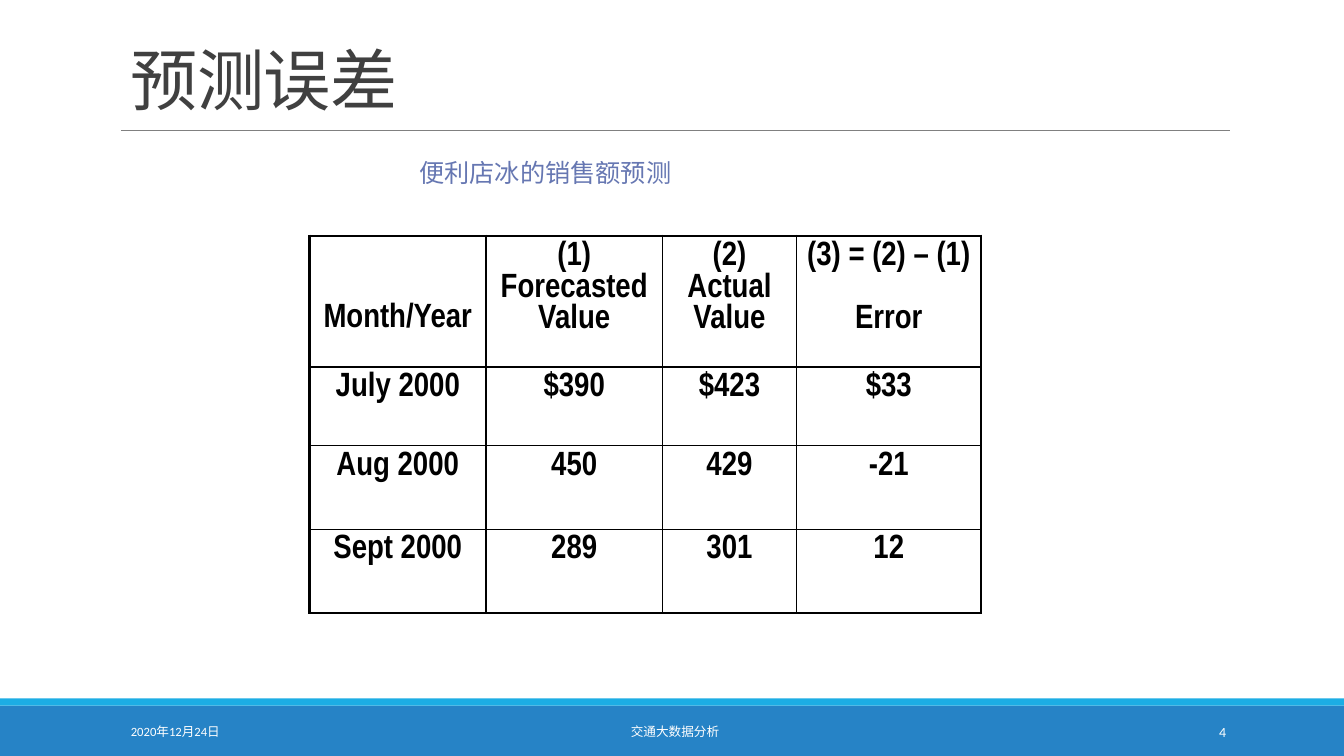
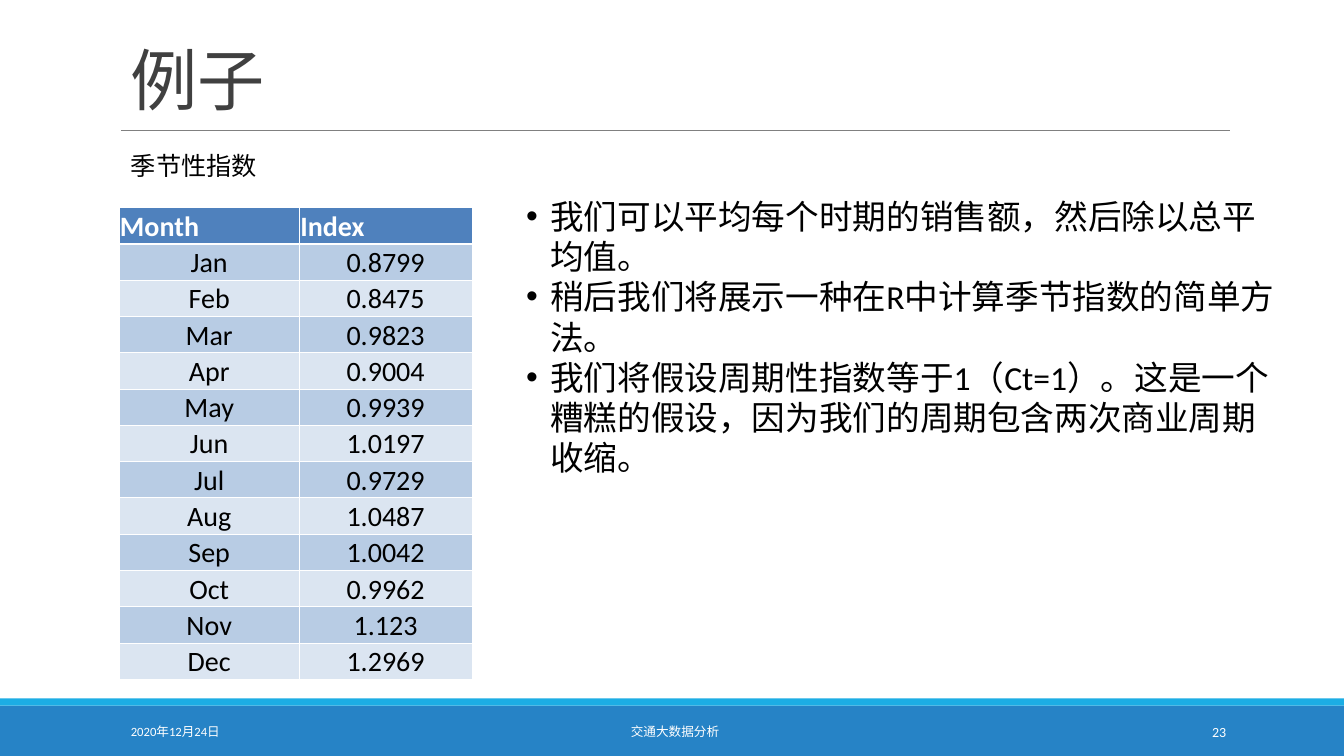
from lxml.etree import SubElement
from pptx import Presentation
from pptx.dml.color import RGBColor
from pptx.enum.shapes import MSO_CONNECTOR, MSO_SHAPE
from pptx.enum.text import MSO_ANCHOR, MSO_AUTO_SIZE, PP_ALIGN
from pptx.oxml.ns import qn
from pptx.util import Emu, Pt

PX = 9144
SLIDE_WIDTH, SLIDE_HEIGHT = 1333, 750
BODY_FONT, TABLE_FONT = "Calibri", "Arial Narrow"
WHITE, BLACK = "FFFFFF", "000000"
FOOTER_BLUE, STRIPE_BLUE = "2683C6", "1CADE4"
TITLE_GREY, RULE_GREY, CAPTION_BLUE = "404040", "808080", "6677B2"
HEADER_BLUE, BAND_FILLS = "4F81BD", ("B8CCE4", "DBE5F1")
DATE, COURSE = "2020年12月24日", "交通大数据分析"
BULLET_INDENT = 24

ERROR_ROWS = [
    ("Month/Year", "(1)\nForecasted Value", "(2)\nActual Value", "(3) = (2) – (1)\nError"),
    ("July 2000", "$390", "$423", "$33"),
    ("Aug 2000", "450", "429", "-21"),
    ("Sept 2000", "289", "301", "12"),
]
INDEX_ROWS = [
    ("Month", "Index"),
    ("Jan", "0.8799"), ("Feb", "0.8475"), ("Mar", "0.9823"), ("Apr", "0.9004"),
    ("May", "0.9939"), ("Jun", "1.0197"), ("Jul", "0.9729"), ("Aug", "1.0487"),
    ("Sep", "1.0042"), ("Oct", "0.9962"), ("Nov", "1.123"), ("Dec", "1.2969"),
]
INDEX_NOTES = [
    "我们可以平均每个时期的销售额，然后除以总平均值。",
    "稍后我们将展示一种在R中计算季节指数的简单方法。",
    "我们将假设周期性指数等于1（Ct=1）。这是一个糟糕的假设，因为我们的周期包含两次商业周期收缩。",
]


def px(length):
    """Turn px into EMU."""
    return Emu(length * PX)


def color(hex_code):
    """Turn a hex string into a colour."""
    return RGBColor.from_string(hex_code)


def write(frame, text, size, ink, font=BODY_FONT, bold=False, align=PP_ALIGN.LEFT):
    """Fill a text frame and format all its runs."""
    frame.text = text
    for paragraph in frame.paragraphs:
        paragraph.alignment = align
        for run in paragraph.runs:
            run.font.size = Pt(size)
            run.font.name = font
            run.font.bold = bold
            run.font.color.rgb = color(ink)


def add_text(slide, box, text, size, ink, anchor=MSO_ANCHOR.TOP, wrap=True, **style):
    """Add a text box and return its frame."""
    frame = slide.shapes.add_textbox(*map(px, box)).text_frame
    write(frame, text, size, ink, **style)
    frame.word_wrap = wrap
    frame.vertical_anchor = anchor
    if not wrap:
        frame.auto_size = MSO_AUTO_SIZE.SHAPE_TO_FIT_TEXT
    return frame


def add_band(slide, top, height, fill):
    """Add a full-width colour band."""
    band = slide.shapes.add_shape(
        MSO_SHAPE.RECTANGLE, 0, px(top), px(SLIDE_WIDTH), px(height))
    band.shadow.inherit = False
    band.fill.solid()
    band.fill.fore_color.rgb = color(fill)
    band.line.fill.background()


def add_rule(slide, left, right, y):
    """Add the thin rule under the title."""
    rule = slide.shapes.add_connector(
        MSO_CONNECTOR.STRAIGHT, px(left), px(y), px(right), px(y))
    rule.line.color.rgb = color(RULE_GREY)
    rule.line.width = Pt(0.5)
    SubElement(rule._element.spPr, qn("a:effectLst"))


def add_title(slide, text):
    """Add the slide title."""
    frame = add_text(slide, (120, 14, 1100, 109), text, 48, TITLE_GREY,
                     anchor=MSO_ANCHOR.BOTTOM)
    heading = frame.paragraphs[0]
    heading.line_spacing = 0.85
    heading.runs[0]._r.get_or_add_rPr().set("spc", "-50")


def start_slide(deck, title, number):
    """Add a slide with the shared bands, title and footer."""
    slide = deck.slides.add_slide(deck.slide_layouts[6])
    add_band(slide, 700, 50, FOOTER_BLUE)
    add_band(slide, 693, 7, STRIPE_BLUE)
    add_rule(slide, 120, 1220, 129)
    add_title(slide, title)
    footer = [
        (120, 270, DATE, 9, PP_ALIGN.LEFT),
        (406, 527, COURSE, 9, PP_ALIGN.CENTER),
        (1083, 143, str(number), 10, PP_ALIGN.RIGHT),
    ]
    for left, width, text, size, align in footer:
        add_text(slide, (left, 706, width, 40), text, size, WHITE,
                 anchor=MSO_ANCHOR.MIDDLE, align=align)
    return slide


def set_borders(cell, ink, widths):
    """Draw the left, right, top and bottom borders of a cell."""
    properties = cell._tc.get_or_add_tcPr()
    for side, width in zip("LRTB", widths):
        border = SubElement(properties, qn(f"a:ln{side}"), w=str(Pt(width)))
        solid = SubElement(border, qn("a:solidFill"))
        SubElement(solid, qn("a:srgbClr"), val=ink)


def set_margins(cell, left, top, right, bottom):
    """Set the inner margins of a cell."""
    cell.margin_left, cell.margin_top = px(left), px(top)
    cell.margin_right, cell.margin_bottom = px(right), px(bottom)


def add_grid(slide, left, top, widths, heights, rows):
    """Add a plain table with its text and return it."""
    table = slide.shapes.add_table(
        len(rows), len(widths), px(left), px(top),
        px(sum(widths)), px(sum(heights))).table
    table.first_row = table.horz_banding = False
    for column, width in zip(table.columns, widths):
        column.width = px(width)
    for row, height in zip(table.rows, heights):
        row.height = px(height)
    return table


def add_error_table(slide):
    """Add the forecast error table with its heavy frame."""
    table = add_grid(slide, 307, 234, (175, 175, 133, 183), (130, 78, 83, 83), ERROR_ROWS)
    last_row, last_column = len(ERROR_ROWS) - 1, len(ERROR_ROWS[0]) - 1
    for r, values in enumerate(ERROR_ROWS):
        for c, value in enumerate(values):
            cell = table.cell(r, c)
            write(cell.text_frame, value, 24, BLACK, TABLE_FONT, True, PP_ALIGN.CENTER)
            set_margins(cell, 10, 5, 10, 5)
            outer = (c == 0, c == last_column, r == 0, r == last_row)
            set_borders(cell, BLACK, [2.25 if edge else 1 for edge in outer])
            cell.fill.background()
    table.cell(0, 0).margin_top = px(67)
    error_label = table.cell(0, last_column).text_frame.paragraphs[1]
    error_label.space_before = Pt(22.5)


def add_index_table(slide):
    """Add the banded table of seasonal indices."""
    table = add_grid(slide, 118, 206, (179, 171), [36] * len(INDEX_ROWS), INDEX_ROWS)
    for r, values in enumerate(INDEX_ROWS):
        header = r == 0
        for c, value in enumerate(values):
            cell = table.cell(r, c)
            write(cell.text_frame, value, 20, WHITE if header else BLACK, bold=header,
                  align=PP_ALIGN.LEFT if header else PP_ALIGN.CENTER)
            set_margins(cell, 1, 1, 1, 0)
            cell.vertical_anchor = MSO_ANCHOR.BOTTOM
            set_borders(cell, WHITE, (0.5, 0.5, 1.5 if r == 1 else 0.5, 1.5 if header else 0.5))
            cell.fill.solid()
            cell.fill.fore_color.rgb = color(HEADER_BLUE if header else BAND_FILLS[(r - 1) % 2])


def add_bullets(slide, box, notes):
    """Add a bulleted list."""
    frame = add_text(slide, box, "\n".join(notes), 24, BLACK)
    for paragraph in frame.paragraphs:
        properties = paragraph._p.get_or_add_pPr()
        properties.set("marL", str(px(BULLET_INDENT)))
        properties.set("indent", str(-px(BULLET_INDENT)))
        SubElement(properties, qn("a:buFont"), typeface="Arial")
        SubElement(properties, qn("a:buChar"), char="•")


def build_error_slide(deck):
    """Build the slide on forecast errors."""
    slide = start_slide(deck, "预测误差", 4)
    add_text(slide, (406, 151, 273, 40), "便利店冰的销售额预测", 18, CAPTION_BLUE,
             wrap=False, font="Lato")
    add_error_table(slide)


def build_index_slide(deck):
    """Build the slide on seasonal indices."""
    slide = start_slide(deck, "例子", 23)
    add_text(slide, (120, 144, 146, 40), "季节性指数", 18, BLACK, wrap=False)
    add_index_table(slide)
    add_bullets(slide, (512, 189, 774, 293), INDEX_NOTES)


def main():
    """Build and save the deck."""
    deck = Presentation()
    deck.slide_width, deck.slide_height = px(SLIDE_WIDTH), px(SLIDE_HEIGHT)
    build_error_slide(deck)
    build_index_slide(deck)
    deck.save("out.pptx")


if __name__ == "__main__":
    main()
